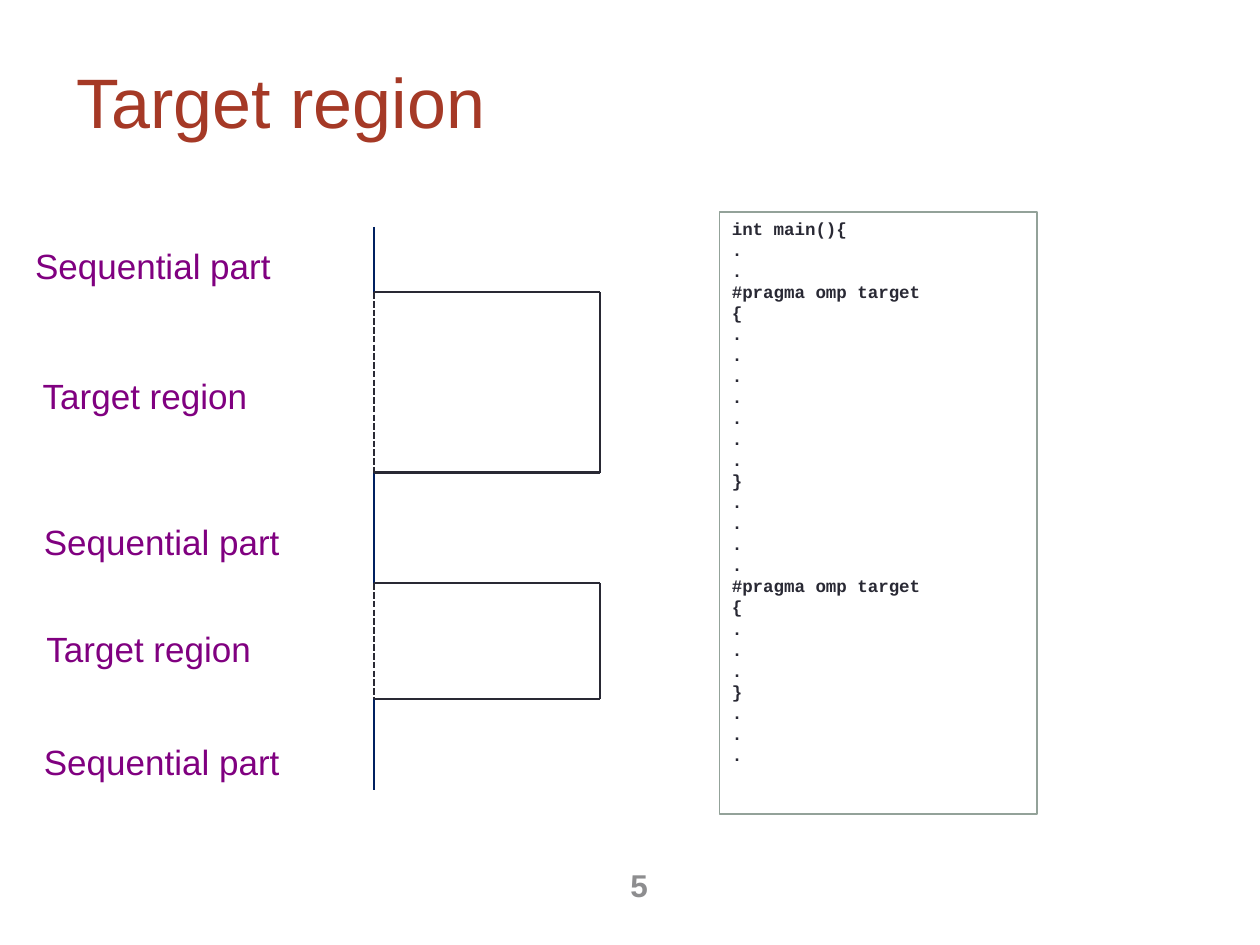
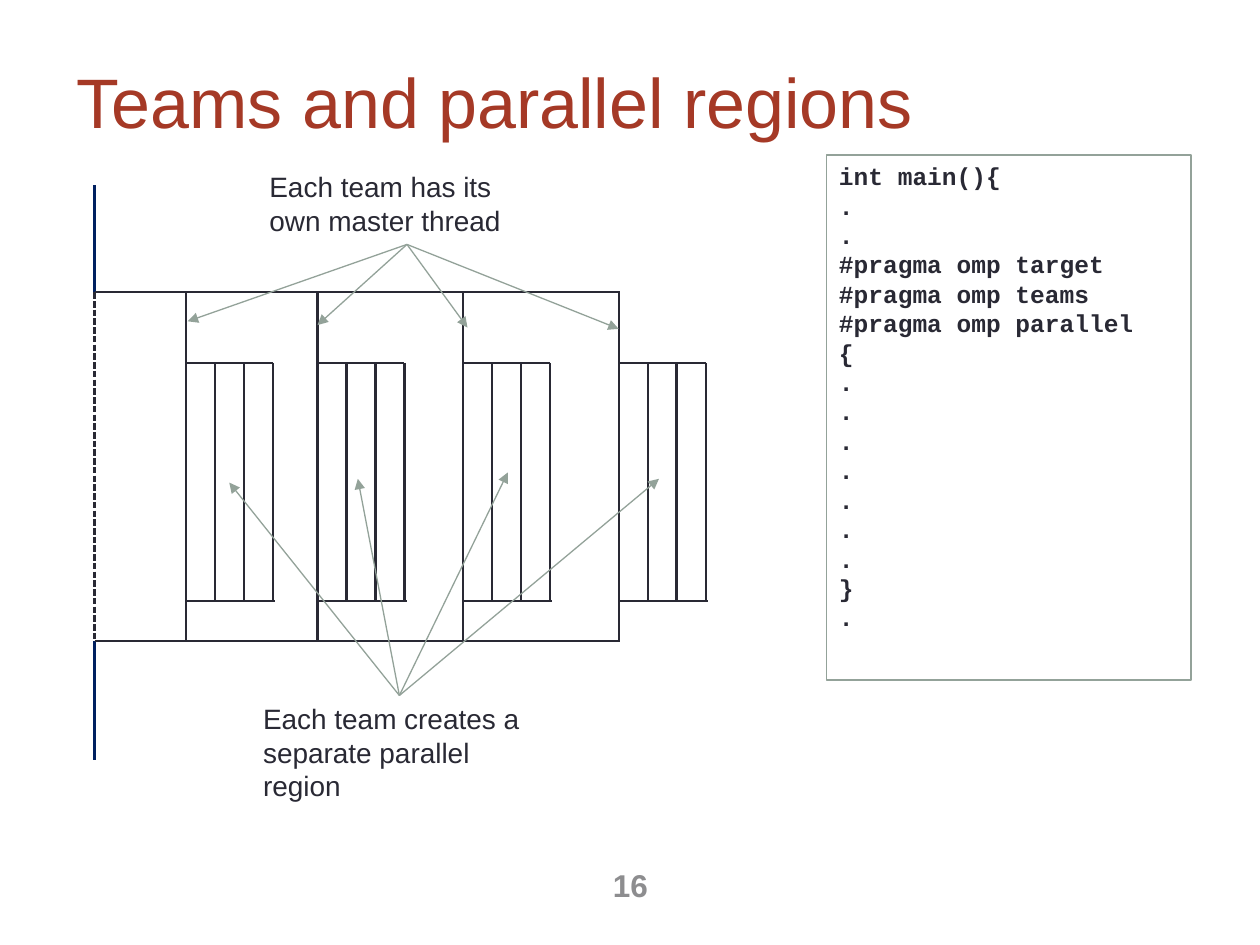
import pptx
import pptx.util
import pptx.dml.color
import pptx.enum.dml
import pptx.enum.shapes
import pptx.enum.text
import pptx.oxml.ns
import lxml.etree

Inches, Pt = pptx.util.Inches, pptx.util.Pt
ALIGN, ANCHOR = pptx.enum.text.PP_ALIGN, pptx.enum.text.MSO_ANCHOR

COLORS = {
    "title": "A53926",
    "label": "800080",
    "ink": "292934",
    "sequential": "002060",
    "accent": "93A299",
    "number": "8D8D8F",
}
# Font values of each text style, with its colour and alignment
STYLES = {
    "title": ({"name": "Arial", "size": Pt(40), "bold": False}, "title", ALIGN.LEFT),
    "label": ({"name": "Arial", "size": Pt(20)}, "label", ALIGN.LEFT),
    "note": ({"name": "Arial", "size": Pt(16)}, "ink", ALIGN.LEFT),
    "code small": ({"name": "Courier New", "size": Pt(10), "bold": True}, "ink", ALIGN.LEFT),
    "code large": ({"name": "Courier New", "size": Pt(14), "bold": True}, "ink", ALIGN.LEFT),
    "number": ({"name": "Arial", "size": Pt(18), "bold": True}, "number", ALIGN.RIGHT),
}
# Line colour, width and dash of each part of the diagrams
STROKES = {
    "sequential": ("sequential", 1.25, None),
    "thread": ("ink", 1.25, None),
    "waiting": ("ink", 1.25, pptx.enum.dml.MSO_LINE.SQUARE_DOT),
    "pointer": ("accent", 0.75, None),
}


def write(shape, lines, style, anchor=ANCHOR.TOP, wrap=True):
    """Fill a shape with one paragraph per line, in a named style."""
    font_values, color, alignment = STYLES[style]
    frame = shape.text_frame
    frame_values = {"word_wrap": wrap, "vertical_anchor": anchor,
                    "auto_size": pptx.enum.text.MSO_AUTO_SIZE.NONE,
                    "margin_left": Inches(0.1), "margin_right": Inches(0.1),
                    "margin_top": Inches(0.05), "margin_bottom": Inches(0.05)}
    for key, value in frame_values.items():
        setattr(frame, key, value)
    frame.text = "\n".join(lines)
    for paragraph in frame.paragraphs:
        paragraph.alignment = alignment
        font = paragraph.runs[0].font
        for key, value in font_values.items():
            setattr(font, key, value)
        font.color.rgb = pptx.dml.color.RGBColor.from_string(COLORS[color])


def draw_line(shapes, start, end, stroke):
    """Draw a straight line; a pointer gets an arrowhead at its end."""
    color, width, dash = STROKES[stroke]
    line = shapes.add_connector(pptx.enum.shapes.MSO_CONNECTOR.STRAIGHT,
                                *[Inches(v) for v in (*start, *end)])
    line.line.color.rgb = pptx.dml.color.RGBColor.from_string(COLORS[color])
    line.line.width = Pt(width)
    if dash:
        line.line.dash_style = dash
    properties = line._element.spPr
    if stroke == "pointer":
        lxml.etree.SubElement(properties.find(pptx.oxml.ns.qn("a:ln")),
                              pptx.oxml.ns.qn("a:tailEnd"), type="triangle")
    lxml.etree.SubElement(properties, pptx.oxml.ns.qn("a:effectLst"))


deck = pptx.Presentation()
deck.slide_width, deck.slide_height = Inches(10), Inches(7.5)

# Title, code panel and page number of each slide
region_code = ["int main(){", *".." , "#pragma omp target", "{", *".......", "}",
               *"....", "#pragma omp target", "{", *"...", "}", *"..."]
teams_code = ["int main(){", *"..", "#pragma omp target", "#pragma omp teams",
              "#pragma omp parallel", "{", *".......", "}", "."]
pages = [
    ("Target region", "5", region_code, "code small", (5.71, 1.68, 2.52, 4.78)),
    ("Teams and parallel regions", "16", teams_code, "code large", (6.56, 1.23, 2.89, 4.17)),
]
slides = []
for heading, number, code, code_style, panel_box in pages:
    slide = deck.slides.add_slide(deck.slide_layouts[5])
    slides.append(slide)
    title = slide.shapes.title
    title_box = {"left": 0.51, "top": 0.36, "width": 9, "height": 0.87}
    for key, value in title_box.items():
        setattr(title, key, Inches(value))
    write(title, [heading], "title", ANCHOR.MIDDLE)

    panel = slide.shapes.add_shape(pptx.enum.shapes.MSO_SHAPE.RECTANGLE,
                                   *[Inches(v) for v in panel_box])
    panel.shadow.inherit = False
    panel.fill.background()
    panel.line.color.rgb = pptx.dml.color.RGBColor.from_string(COLORS["accent"])
    panel.line.width = Pt(1)
    write(panel, code, code_style)

    page_number = slide.shapes.add_textbox(Inches(4.53), Inches(6.82), Inches(0.71), Inches(0.4))
    write(page_number, [number], "number", ANCHOR.MIDDLE)

region_slide, teams_slide = slides

# Target region: labels down the left side
for text, left, top, width in [
    ("Sequential part", 0.18, 1.89, 2.07),
    ("Target region", 0.24, 2.92, 1.85),
    ("Sequential part", 0.25, 4.08, 2.07),
    ("Target region", 0.27, 4.93, 1.85),
    ("Sequential part", 0.25, 5.83, 2.07),
]:
    label = region_slide.shapes.add_textbox(Inches(left), Inches(top), Inches(width), Inches(0.44))
    write(label, [text], "label", wrap=False)

# Target region: host timeline, with a detour to the device in each region
host, device = 2.97, 4.76
for top, bottom in [(1.8, 2.32), (3.75, 4.63), (5.55, 6.27)]:
    draw_line(region_slide.shapes, (host, top), (host, bottom), "sequential")
for top, bottom in [(2.32, 3.75), (4.63, 5.55)]:
    draw_line(region_slide.shapes, (host, top), (host, bottom), "waiting")
    draw_line(region_slide.shapes, (device, top), (device, bottom), "thread")
    for y in (top, bottom):
        draw_line(region_slide.shapes, (host, y), (device, y), "thread")

# Teams: host timeline and the target region
host, last_team = 0.75, 4.92
region_top, region_bottom = 2.32, 5.09
for top, bottom, stroke in [(1.47, region_top, "sequential"),
                            (region_top, region_bottom, "waiting"),
                            (region_bottom, 6.03, "sequential")]:
    draw_line(teams_slide.shapes, (host, top), (host, bottom), stroke)
for y in (region_top, region_bottom):
    draw_line(teams_slide.shapes, (host, y), (last_team, y), "thread")

# Teams: each master thread forks into four parallel threads
fork, join = 2.88, 4.77
for master in (1.475, 2.52, 3.675, 4.91):
    team = teams_slide.shapes.add_group_shape().shapes
    draw_line(team, (master, region_top), (master, fork), "thread")
    draw_line(team, (master, fork), (master + 0.69, fork), "thread")
    for index in range(4):
        x = master + 0.23 * index
        draw_line(team, (x, fork), (x, join), "thread")
    draw_line(team, (master, join), (master + 0.71, join), "thread")
    draw_line(team, (master, join), (master, region_bottom), "thread")

# Teams: notes with pointers to the master threads and parallel regions
for text, left, top, height, origin, targets in [
    ("Each team has its own master thread", 2.04, 1.3, 0.64, (3.23, 1.94),
     [(1.49, 2.55), (2.52, 2.58), (3.71, 2.6), (4.91, 2.61)]),
    ("Each team creates a separate parallel region", 1.99, 5.52, 0.9, (3.17, 5.52),
     [(1.82, 3.83), (2.84, 3.8), (4.03, 3.75), (5.23, 3.8)]),
]:
    note = teams_slide.shapes.add_textbox(Inches(left), Inches(top), Inches(2.36), Inches(height))
    write(note, [text], "note")
    for target in targets:
        draw_line(teams_slide.shapes, origin, target, "pointer")

deck.save("out.pptx")
